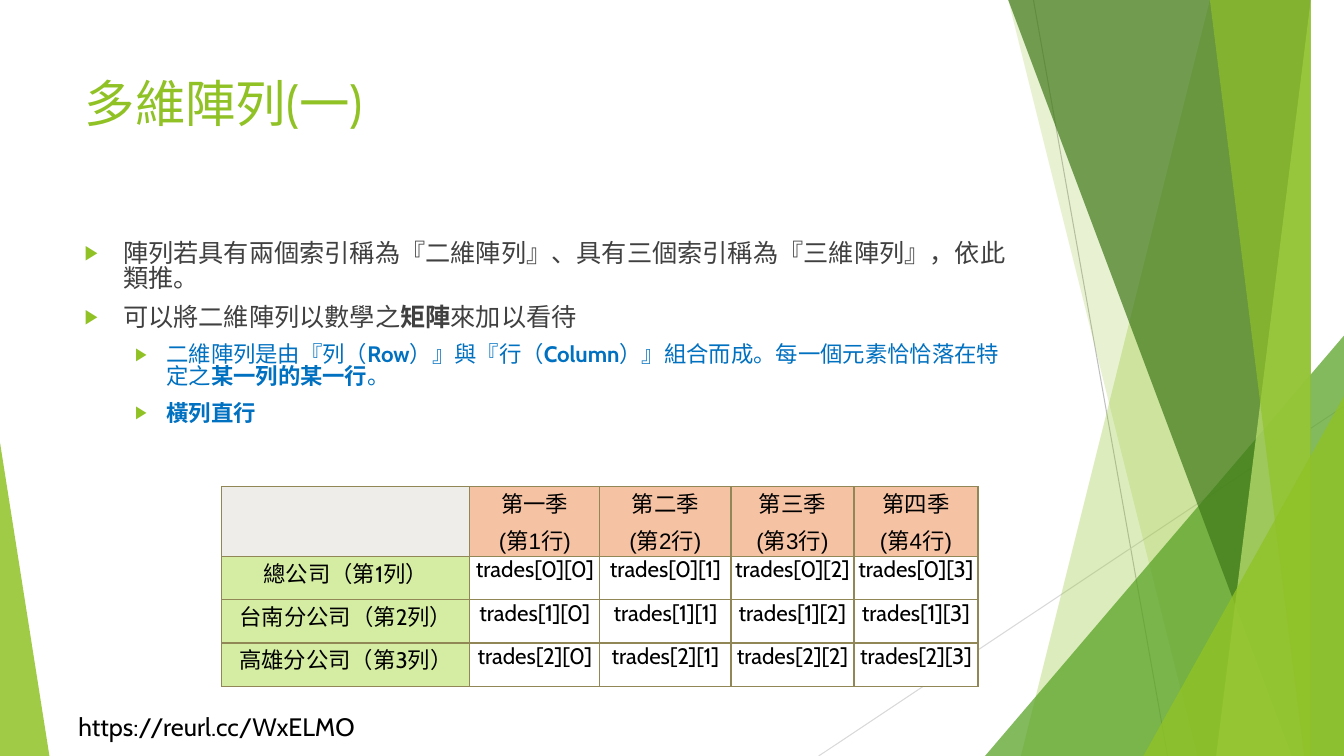
from lxml import etree
from pptx import Presentation
from pptx.dml.color import RGBColor
from pptx.enum.shapes import MSO_CONNECTOR, MSO_SHAPE
from pptx.enum.text import MSO_ANCHOR, MSO_AUTO_SIZE, PP_ALIGN
from pptx.oxml.ns import qn
from pptx.util import Inches, Pt

LINE = MSO_CONNECTOR.STRAIGHT
TRIANGLE = MSO_SHAPE.ISOSCELES_TRIANGLE
TOP = MSO_ANCHOR.TOP
FIXED = MSO_AUTO_SIZE.NONE
LEFT, CENTER = PP_ALIGN.LEFT, PP_ALIGN.CENTER

WIDE, HIGH = 13.33, 7.5
COLORS = {
    "lime": "90C226", "green": "54A021", "dark": "3F7819", "pale": "C0E474",
    "gray": "BFBFBF", "light": "D9D9D9", "black": "000000", "text": "404040",
    "blue": "0070C0", "edge": "918655", "blank": "EEEDE9", "peach": "F5C2A3",
    "mint": "D5EDA2", "white": "FFFFFF",
}


def add_run(para, text, size, color, font="Cabin", bold=False):
    run = para.add_run()
    run.text = text
    run.font.size = Pt(size)
    run.font.name = font
    run.font.bold = bold
    run.font.color.rgb = RGBColor.from_string(COLORS[color])


def add_node(parent, tag, **attrs):
    return etree.SubElement(parent, qn(tag), attrs)


deck = Presentation()
deck.slide_width, deck.slide_height = Inches(WIDE), Inches(HIGH)
slide = deck.slides.add_slide(deck.slide_layouts[1])
shapes = slide.shapes
title, body = shapes.title, slide.placeholders[1]

rays = [(10.25, 0, 11.58, HIGH, "gray"), (WIDE, 4.03, 8.12, HIGH, "light")]
for x1, y1, x2, y2, color in rays:
    ray = shapes.add_connector(LINE, Inches(x1), Inches(y1), Inches(x2), Inches(y2))
    ray.line.color.rgb = RGBColor.from_string(COLORS[color])
    ray.line.width = Pt(0.75)
    add_node(ray._element.spPr, "a:effectLst")

facets = [
    ("band", (12.28, 10.04), "lime", 30),
    ("band", (10.5, 11.83), "lime", 20),
    ("peak", (9.77, 3.33, 3.56, 1), "green", 72),
    ("band", (10.21, 12.91), "dark", 70),
    ("band", (13.03, 11.92), "pale", 70),
    ("band", (11.96, 13.18), "lime", 65),
    ("peak", (11.34, 3.93, 1.99, 1), "lime", 80),
    ("peak", (0, 4.39, 0.49, 0), "lime", 85),
]
for kind, place, color, alpha in facets:
    if kind == "band":
        upper, lower = place
        path = shapes.build_freeform(upper, 0, scale=Inches(1))
        path.add_line_segments([(WIDE, 0), (WIDE, HIGH), (lower, HIGH)], close=True)
        facet = path.convert_to_shape()
    else:
        x, y, width, apex = place
        facet = shapes.add_shape(
            TRIANGLE, Inches(x), Inches(y), Inches(width), Inches(HIGH - y))
        facet.adjustments[0] = apex
    facet.shadow.inherit = False
    facet.line.fill.background()
    facet.fill.solid()
    facet.fill.fore_color.rgb = RGBColor.from_string(COLORS[color])
    tint = facet._element.spPr.find(qn("a:solidFill"))[0]
    add_node(tint, "a:alpha", val=str(alpha * 1000))

link = shapes.add_textbox(Inches(0.68), Inches(7.01), Inches(3.12), Inches(0.4))
link.text_frame.word_wrap = False
add_run(link.text_frame.paragraphs[0], "https://reurl.cc/WxELMO", 18, "black")

for holder, y, height in [(title, 0.67, 1.44), (body, 2.36, 4.24)]:
    holder.left, holder.top = Inches(0.74), Inches(y)
    holder.width, holder.height = Inches(9.4), Inches(height)
    holder.text_frame.auto_size = FIXED
    holder.text_frame.vertical_anchor = TOP
    shapes._spTree.append(holder._element)

head = title.text_frame.paragraphs[0]
head.alignment = LEFT
add_run(head, "多維陣列(一)", 36, "lime")

points = [
    (0, [("陣列若具有兩個索引稱為『二維陣列』、具有三個索引稱為『三維陣列』，依此類推。", False)]),
    (0, [("可以將二維陣列以數學之", False), ("矩陣", True), ("來加以看待", False)]),
    (1, [("二維陣列是由『列（", False), ("Row", True), ("）』與『行（", False),
         ("Column", True), ("）』組合而成。每一個元素恰恰落在特定之", False),
         ("某一列的某一行", True), ("。", False)]),
    (1, [("橫列直行", True)]),
]
levels = [(0.38, 0.38, 18, "text"), (0.81, 0.31, 16, "blue")]
for i, (level, runs) in enumerate(points):
    para = body.text_frame.add_paragraph() if i else body.text_frame.paragraphs[0]
    margin, hang, size, color = levels[level]
    para.level = level
    props = para._p.get_or_add_pPr()
    props.set("marL", str(Inches(margin)))
    props.set("indent", str(-Inches(hang)))
    add_node(add_node(props, "a:buClr"), "a:srgbClr", val=COLORS["lime"])
    add_node(props, "a:buSzPct", val="80000")
    add_node(props, "a:buFont", typeface="Arial")
    add_node(props, "a:buChar", char="▶")
    para.line_spacing = 0.82
    para.space_before = Pt(10 if i else 0)
    for text, bold in runs:
        add_run(para, text, size, color, bold=bold)

cols = [2.46, 1.29, 1.3, 1.22, 1.23]
rows = [0.69, 0.43, 0.43, 0.43]
terms = ["第一季", "第二季", "第三季", "第四季"]
sites = ["總公司", "台南分公司", "高雄分公司"]
table = shapes.add_table(len(rows), len(cols), Inches(2.2), Inches(4.83),
                         Inches(sum(cols)), Inches(sum(rows))).table
table.first_row = table.horz_banding = False
for col, width in zip(table.columns, cols):
    col.width = Inches(width)
for row, height in zip(table.rows, rows):
    row.height = Inches(height)

for r in range(len(rows)):
    for c in range(len(cols)):
        if r == 0 and c == 0:
            lines, color = [], "blank"
        elif r == 0:
            lines, color = [(terms[c - 1], "Cabin"), (f"(第{c}行)", "Arial")], "peach"
        elif c == 0:
            lines, color = [(f"{sites[r - 1]}（第{r}列）", "Cabin")], "mint"
        else:
            lines, color = [(f"trades[{r - 1}][{c - 1}]", "Cabin")], "white"
        cell = table.cell(r, c)
        cell.margin_left = cell.margin_right = Inches(0.02)
        cell.margin_top = cell.margin_bottom = 0
        for side in ["a:lnL", "a:lnR", "a:lnT", "a:lnB"]:
            edge = add_node(cell._tc.get_or_add_tcPr(), side, w=str(Pt(1)))
            add_node(add_node(edge, "a:solidFill"), "a:srgbClr", val=COLORS["edge"])
        cell.fill.solid()
        cell.fill.fore_color.rgb = RGBColor.from_string(COLORS[color])
        for i, (text, font) in enumerate(lines):
            para = cell.text_frame.add_paragraph() if i else cell.text_frame.paragraphs[0]
            para.alignment = CENTER
            para.space_before = Pt(3.2 if i else 0)
            add_run(para, text, 16, "black", font)

deck.save("out.pptx")
